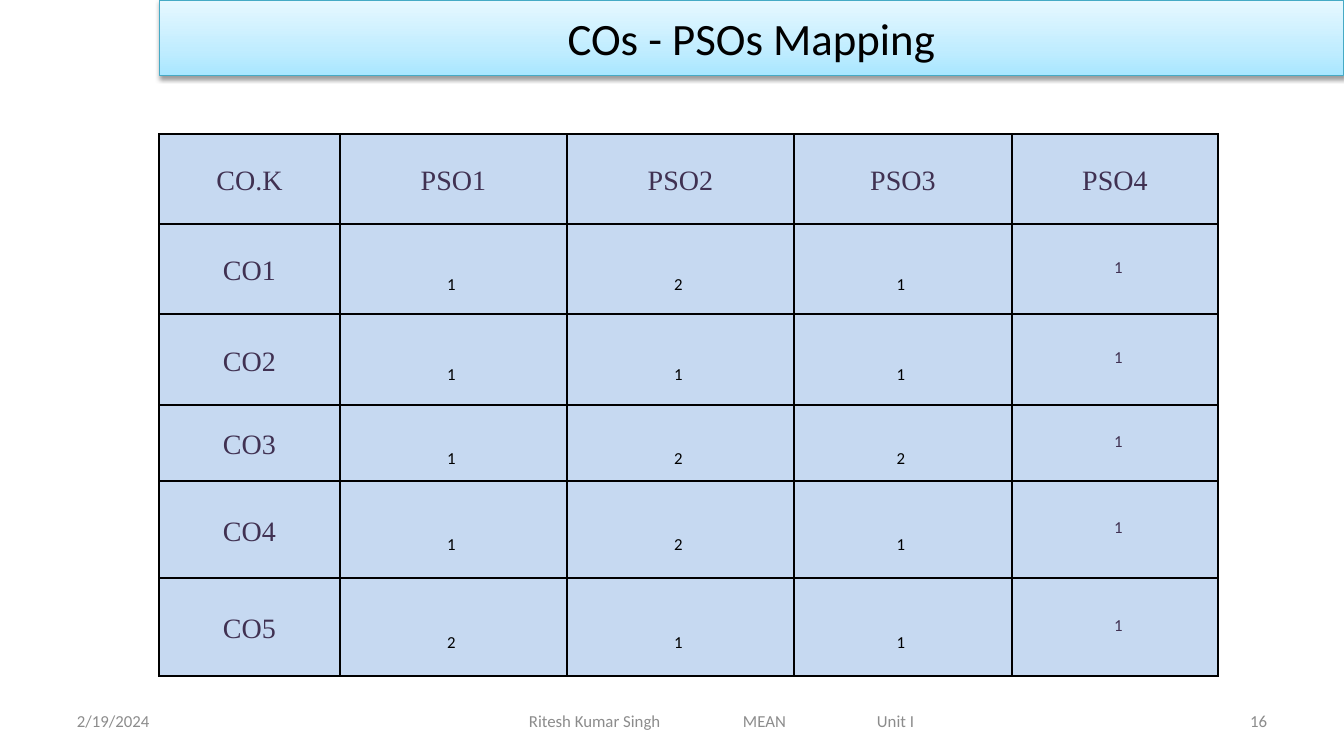
"""Build the COs - PSOs mapping slide with its banner, table and footer."""
from lxml.etree import SubElement
from pptx import Presentation
from pptx.dml.color import RGBColor
from pptx.enum.text import MSO_ANCHOR as Anchor, PP_ALIGN as Align
from pptx.oxml import parse_xml
from pptx.oxml.ns import nsdecls, qn
from pptx.util import Emu, Pt

BLACK = RGBColor(0x00, 0x00, 0x00)
GREY = RGBColor(0x8C, 0x8C, 0x8C)
PURPLE = RGBColor(0x40, 0x31, 0x52)
PALE_BLUE = RGBColor(0xC6, 0xD9, 0xF1)
TEAL = RGBColor(0x46, 0xAA, 0xC5)
BANNER_STOPS = [
    (0, RGBColor(0xA7, 0xE6, 0xFF)),
    (35000, RGBColor(0xC1, 0xED, 0xFF)),
    (100000, RGBColor(0xE7, 0xF8, 0xFF)),
]


def px(count):
    return Emu(round(count * 12192000 / 1344))


def write(para, text, size, color, font="Calibri", align=Align.CENTER):
    para.alignment = align
    span = para.add_run()
    span.text = text
    span.font.name = font
    span.font.size = Pt(size)
    span.font.color.rgb = color


deck = Presentation()
deck.slide_width, deck.slide_height = px(1344), px(756)
page = deck.slides.add_slide(deck.slide_layouts[5])

banner = page.shapes.title
banner.left, banner.top, banner.width, banner.height = px(159), px(0), px(1185), px(76)
banner.text_frame.vertical_anchor = Anchor.MIDDLE
write(banner.text_frame.paragraphs[0], "COs - PSOs Mapping", 32, BLACK)
stops = "".join(
    f'<a:gs pos="{place}"><a:srgbClr val="{color}"/></a:gs>' for place, color in BANNER_STOPS
)
for xml in (
    f'<a:prstGeom {nsdecls("a")} prst="rect"><a:avLst/></a:prstGeom>',
    f'<a:gradFill {nsdecls("a")} rotWithShape="1"><a:gsLst>{stops}</a:gsLst>'
    '<a:lin ang="16200000" scaled="0"/></a:gradFill>',
):
    banner._element.spPr.append(parse_xml(xml))
banner.line.color.rgb = TEAL
banner.line.width = Pt(0.75)
banner._element.spPr.append(parse_xml(
    f'<a:effectLst {nsdecls("a")}><a:outerShdw blurRad="40000" dist="20000" dir="5400000" '
    'rotWithShape="0"><a:srgbClr val="000000"><a:alpha val="38000"/></a:srgbClr>'
    '</a:outerShdw></a:effectLst>'
))

COLUMN_WIDTHS = [181, 227, 227, 218, 206]
ROW_HEIGHTS = [90, 90, 91, 76, 97, 98]
MAPPING = [
    ["CO.K", "PSO1", "PSO2", "PSO3", "PSO4"],
    ["CO1", "1", "2", "1", "1"],
    ["CO2", "1", "1", "1", "1"],
    ["CO3", "1", "2", "2", "1"],
    ["CO4", "1", "2", "1", "1"],
    ["CO5", "2", "1", "1", "1"],
]
HEADING = {"margin_left": 7, "margin_right": 7, "margin_top": 0, "margin_bottom": 0}
SCORE = {"margin_left": 10, "margin_right": 14, "margin_top": 36, "margin_bottom": 5}
LAST_SCORE = {**HEADING, "margin_left": 14}

table = page.shapes.add_table(
    len(ROW_HEIGHTS), len(COLUMN_WIDTHS),
    px(159), px(134), px(sum(COLUMN_WIDTHS)), px(sum(ROW_HEIGHTS)),
).table
for column, width in zip(table.columns, COLUMN_WIDTHS):
    column.width = px(width)
for row, height in zip(table.rows, ROW_HEIGHTS):
    row.height = px(height)

for row_index, values in enumerate(MAPPING):
    for column_index, value in enumerate(values):
        cell = table.cell(row_index, column_index)
        para = cell.text_frame.paragraphs[0]
        if row_index == 0 or column_index == 0:
            margins = HEADING
            para.line_spacing = 1.15
            write(para, value, 20, PURPLE, "Times New Roman")
        elif column_index == 4:
            margins = LAST_SCORE
            para.line_spacing = Pt(12.3)
            write(para, value, 12, PURPLE)
        else:
            margins = SCORE
            write(para, value, 12, BLACK)
        for name, margin in margins.items():
            setattr(cell, name, px(margin))
        cell.vertical_anchor = Anchor.MIDDLE
        cell.fill.solid()
        cell.fill.fore_color.rgb = PALE_BLUE
        for place, side in enumerate(("lnL", "lnR", "lnT", "lnB")):
            cell._tc.tcPr.insert(place, parse_xml(
                f'<a:{side} {nsdecls("a")} w="12700"><a:solidFill>'
                f'<a:srgbClr val="{BLACK}"/></a:solidFill></a:{side}>'
            ))

FOOTERS = [
    ("2/19/2024", 67, 314, 10, Align.LEFT, []),
    ("Ritesh Kumar Singh\tMEAN\tUnit I", 445, 554, 84, Align.LEFT, [214, 348]),
    ("16", 963, 314, 10, Align.RIGHT, []),
]
for text, left, width, inset, align, tabs in FOOTERS:
    box = page.shapes.add_textbox(px(left), px(701), px(width), px(40))
    frame = box.text_frame
    frame.word_wrap = True
    frame.vertical_anchor = Anchor.MIDDLE
    frame.margin_left = px(inset)
    para = frame.paragraphs[0]
    if tabs:
        tab_list = SubElement(para._p.get_or_add_pPr(), qn("a:tabLst"))
        for stop in tabs:
            SubElement(tab_list, qn("a:tab"), pos=str(px(stop)), algn="l")
    write(para, text, 12, GREY, align=align)

deck.save("out.pptx")
